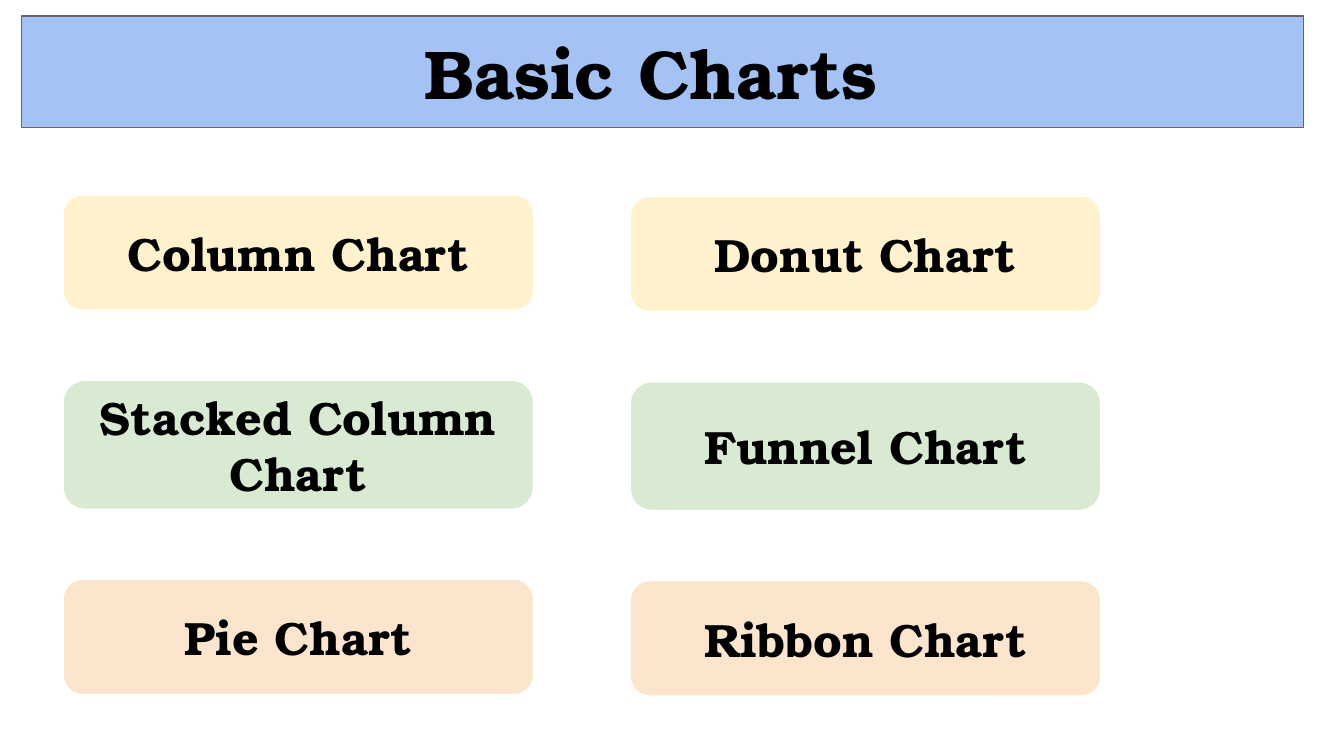
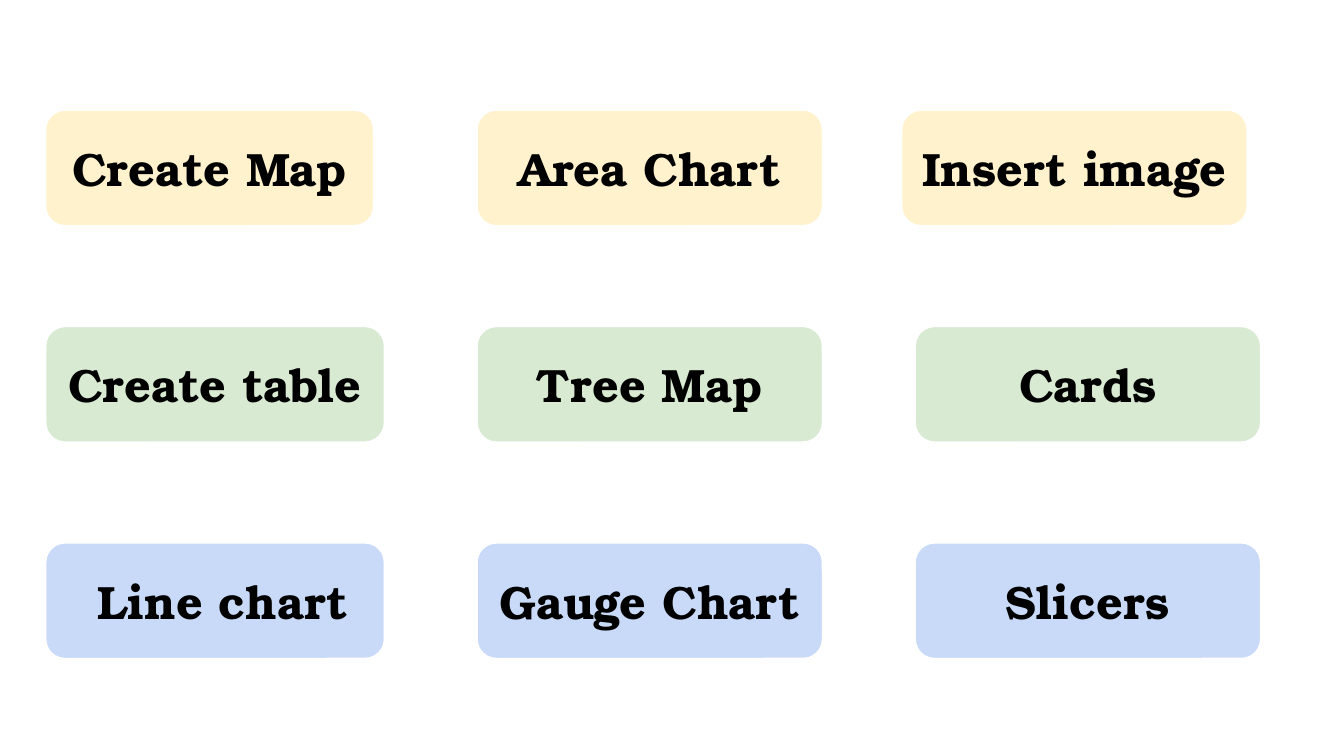
import pptx
import pptx.util
import pptx.dml.color
import pptx.enum.shapes
import pptx.enum.text

RGB = pptx.dml.color.RGBColor
BLACK = RGB(0x00, 0x00, 0x00)
WHITE = RGB(0xFF, 0xFF, 0xFF)
GREY = RGB(0x69, 0x64, 0x64)
BLUE = RGB(0xA4, 0xC2, 0xF4)
SKY = RGB(0xC9, 0xDA, 0xF8)
CREAM = RGB(0xFF, 0xF2, 0xCC)
GREEN = RGB(0xD9, 0xEA, 0xD3)
PEACH = RGB(0xFC, 0xE5, 0xCD)

FONT = "TeX Gyre Bonum"
INCH = pptx.util.Inches
PAD = INCH(0.1)
TALL = 0.86


def write(shape, text, size=25, fill=WHITE, edge=WHITE):
    shape.fill.solid()
    shape.fill.fore_color.rgb = fill
    shape.line.color.rgb = edge
    shape.line.width = pptx.util.Pt(0.75)
    frame = shape.text_frame
    frame.word_wrap = True
    frame.auto_size = pptx.enum.text.MSO_AUTO_SIZE.NONE
    frame.vertical_anchor = pptx.enum.text.MSO_ANCHOR.MIDDLE
    frame.margin_left = frame.margin_right = PAD
    frame.margin_top = frame.margin_bottom = PAD
    para = frame.paragraphs[0]
    para.alignment = pptx.enum.text.PP_ALIGN.CENTER
    run = para.add_run()
    run.text = text
    run.font.name = FONT
    run.font.size = pptx.util.Pt(size)
    run.font.bold = True
    run.font.color.rgb = BLACK


def card(slide, text, left, top, width, height, fill):
    shape = slide.shapes.add_shape(
        pptx.enum.shapes.MSO_SHAPE.ROUNDED_RECTANGLE,
        INCH(left), INCH(top), INCH(width), INCH(height))
    shape.shadow.inherit = False
    write(shape, text, fill=fill)


deck = pptx.Presentation()
deck.slide_width = INCH(10)
deck.slide_height = INCH(10 * 9 / 16)

basic = deck.slides.add_slide(deck.slide_layouts[5])
title = basic.shapes.title
title.left, title.top = INCH(0.16), INCH(0.12)
title.width, title.height = INCH(9.54), INCH(0.83)
write(title, "Basic Charts ", size=37, fill=BLUE, edge=GREY)

gap = 0.52
fills = [CREAM, GREEN, PEACH]
highs = [TALL, 0.96, TALL]
cols = [
    (0.47, 1.45, ["Column Chart", "Stacked Column Chart", "Pie Chart"]),
    (4.69, 1.46, ["Donut Chart", "Funnel Chart", "Ribbon Chart"]),
]
for left, top, names in cols:
    for name, high, fill in zip(names, highs, fills):
        card(basic, name, left, top, 3.5, high, fill)
        top += high + gap

more = deck.slides.add_slide(deck.slide_layouts[6])
first, step = 0.82, 1.61
fills = [CREAM, GREEN, SKY]
lefts = [(0.34, 3.55, 6.71), (0.34, 3.55, 6.81), (0.34, 3.55, 6.81)]
wides = [(2.44, 2.57, 2.57), (2.52, 2.57, 2.57), (2.52, 2.57, 2.57)]
rows = [
    ["Create Map", "Area Chart", "Insert image"],
    ["Create table", "Tree Map", "Cards"],
    [" Line chart", "Gauge Chart", "Slicers"],
]
for row, names in enumerate(rows):
    for name, left, wide in zip(names, lefts[row], wides[row]):
        card(more, name, left, first + row * step, wide, TALL, fills[row])

deck.save("out.pptx")
